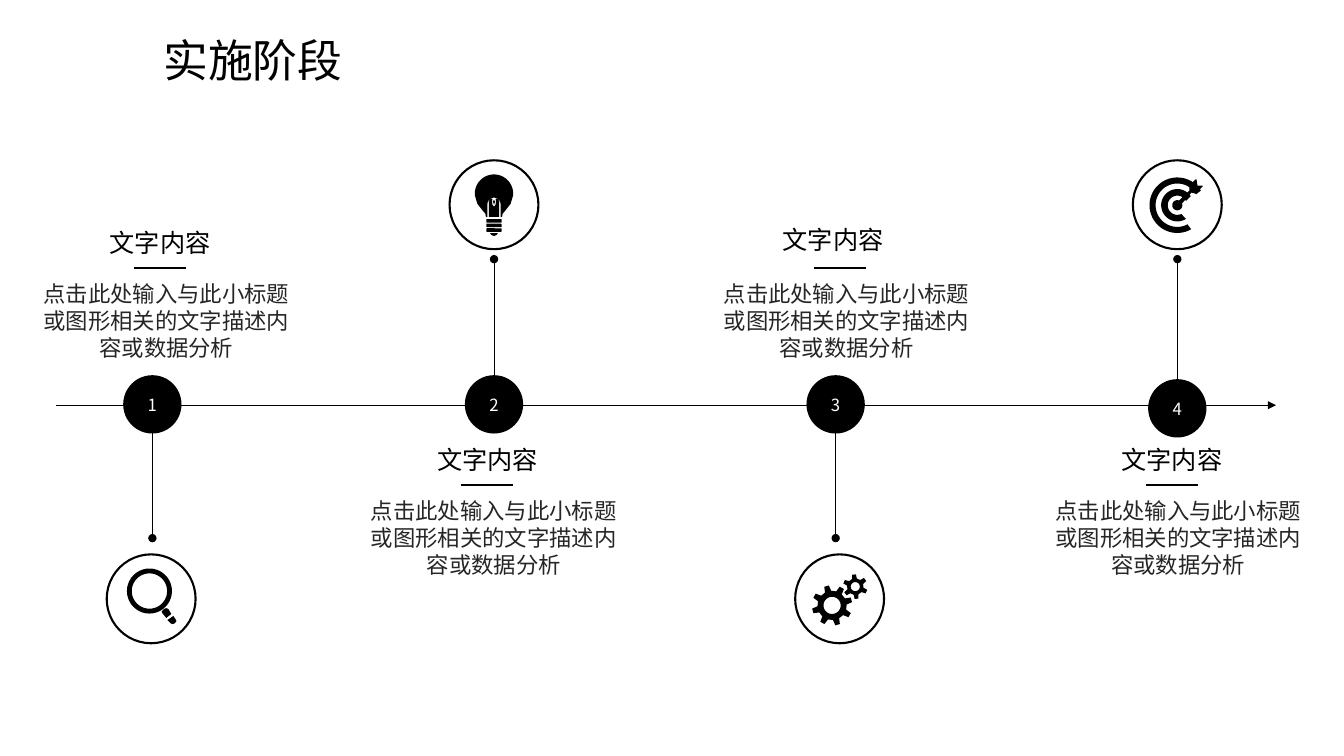
from dataclasses import dataclass
from math import cos, radians, sin
from typing import Callable

from lxml import etree
from pptx import Presentation
from pptx.dml.color import RGBColor
from pptx.enum.shapes import MSO_CONNECTOR, MSO_SHAPE
from pptx.enum.text import MSO_ANCHOR, MSO_AUTO_SIZE, PP_ALIGN
from pptx.oxml.ns import qn
from pptx.util import Cm, Pt

STRAIGHT = MSO_CONNECTOR.STRAIGHT
OVAL = MSO_SHAPE.OVAL
BAR = MSO_SHAPE.ROUNDED_RECTANGLE
MIDDLE = MSO_ANCHOR.MIDDLE
GROW = MSO_AUTO_SIZE.SHAPE_TO_FIT_TEXT
LEFT, CENTER = PP_ALIGN.LEFT, PP_ALIGN.CENTER

Point = tuple[float, float]
Contour = list[Point]


@dataclass(frozen=True)
class Theme:
    font: str = "Noto Sans CJK SC"
    ink: RGBColor = RGBColor(0, 0, 0)
    body: RGBColor = RGBColor(0x26, 0x26, 0x26)
    paper: RGBColor = RGBColor(255, 255, 255)
    title_size: int = 32
    heading_size: int = 18
    body_size: int = 16
    number_size: int = 12
    line_ratio: float = 1.2
    thin: float = 0.5
    thick: float = 1.5


THEME = Theme()
HEADING = "文字内容"
DESCRIPTION = "点击此处输入与此小标题或图形相关的文字描述内容或数据分析"

# Geometry in centimetres; icons use a grid of 88 units per badge
AXIS_Y, FIRST_NODE_X, NODE_STEP = 10.21, 3.84, 8.61
NODE_SIZE, BADGE_SIZE = 1.47, 2.24
UNIT = BADGE_SIZE / 88


# Text and basic shapes
def write(frame, text: str, size: int, color: RGBColor, align=CENTER) -> None:
    para = frame.paragraphs[0]
    para.text = text
    para.alignment = align
    para.line_spacing = Pt(size * THEME.line_ratio)
    para.font.size = Pt(size)
    para.font.color.rgb = color
    para.font.name = THEME.font
    defaults = para._p.get_or_add_pPr().find(qn("a:defRPr"))
    etree.SubElement(defaults, qn("a:ea"), typeface=THEME.font)


def add_text(page, left: float, top: float, width: float, height: float,
             text: str, size: int, color: RGBColor) -> None:
    box = page.shapes.add_textbox(Cm(left), Cm(top), Cm(width), Cm(height))
    box.text_frame.word_wrap = True
    box.text_frame.auto_size = GROW
    write(box.text_frame, text, size, color)


def add_line(page, start: Point, end: Point, width: float,
             head: str = "none", tail: str = "none") -> None:
    line = page.shapes.add_connector(STRAIGHT, *(Cm(value) for value in start + end))
    line.line.color.rgb = THEME.ink
    line.line.width = Pt(width)
    outline = line.line._get_or_add_ln()
    etree.SubElement(outline, qn("a:headEnd"), type=head)
    etree.SubElement(outline, qn("a:tailEnd"), type=tail)
    etree.SubElement(line._element.spPr, qn("a:effectLst"))


def paint(shape) -> None:
    shape.shadow.inherit = False
    shape.fill.solid()
    shape.fill.fore_color.rgb = THEME.ink
    shape.line.fill.background()


def add_centered(page, kind, center: Point, width: float, height: float):
    x, y = center
    shape = page.shapes.add_shape(kind, Cm(x - width / 2), Cm(y - height / 2),
                                  Cm(width), Cm(height))
    paint(shape)
    return shape


# Icon outlines, measured from the badge centre
def arc(center: Point, radius: float, start: float, end: float) -> Contour:
    steps = 40
    angles = [radians(start + (end - start) * i / steps) for i in range(steps + 1)]
    return [(center[0] + radius * cos(a), center[1] + radius * sin(a)) for a in angles]


def ring(center: Point, outer: float, inner: float) -> list[Contour]:
    return [arc(center, outer, 0, 360), arc(center, inner, 360, 0)]


def gear(center: Point, teeth: int, turn: float, tip: float, root: float,
         hole: float) -> list[Contour]:
    pitch = 360 / teeth
    profile = [(-0.28, root), (-0.15, tip), (0.15, tip), (0.28, root)]
    rim = [arc(center, radius, turn + pitch * (i + shift), 0)[0]
           for i in range(teeth) for shift, radius in profile]
    return [rim, arc(center, hole, 360, 0)]


def add_outline(page, center: Point, contours: list[Contour]) -> None:
    paths = [[(Cm(center[0] + x * UNIT), Cm(center[1] + y * UNIT)) for x, y in contour]
             for contour in contours]
    builder = page.shapes.build_freeform(*paths[0][0])
    builder.add_line_segments(paths[0][1:], close=True)
    for path in paths[1:]:
        builder.move_to(*path[0])
        builder.add_line_segments(path[1:], close=True)
    paint(builder.convert_to_shape())


def draw_magnifier(page, center: Point) -> None:
    grip = [(12, 11), (13, 10), (15, 9.2), (17, 10), (20, 15), (15, 19), (11, 14), (10.5, 12.5)]
    grip_end = [(22, 17), (24, 20), (25, 22), (24, 23.5), (23, 24.5), (21, 25), (19, 24), (16, 21)]
    for contours in ([grip], ring((-1.7, -7.7), 22.3, 17.5), [grip_end]):
        add_outline(page, center, contours)


def draw_bulb(page, center: Point) -> None:
    glass = (arc((0, -11), 19, 175, 365)
             + [(16.5, -1), (11, 6), (8.5, 9), (8, 12), (6.5, 12)]
             + arc((0, -0.5), 6.5, 0, -180) + [(-6.5, 12), (-8, 12), (-8.5, 9), (-11, 6), (-16.5, -1)])
    filament = [(-5.2, 12), (-5.2, -3), (-4, -5.5), (-1.6, -6), (-2, -3), (-1.5, 0), (0, 2),
                (1.5, 0), (2, -3), (1.6, -6), (4, -5.5), (5.2, -3), (5.2, 12)]
    drop = [(0, -5), (1, -3), (0, 0), (-1, -3)]
    add_outline(page, center, [glass, filament, drop])
    for i in range(3):
        middle = (center[0], center[1] + (16 + 4.5 * i) * UNIT)
        add_centered(page, BAR, middle, 15 * UNIT, 3.5 * UNIT)
    add_outline(page, center, [[(-4, 28), (-2.5, 30), (0, 31), (2.5, 30), (4, 28)]])


def draw_gears(page, center: Point) -> None:
    add_outline(page, center, gear((15.5, -12), 6, 24, 12.2, 8.2, 4.5))
    add_outline(page, center, gear((-7.5, 6.5), 8, -16, 20, 14.5, 8.5))


def draw_target(page, center: Point) -> None:
    hub = (0, 0.5)
    dart = ([(12, -19), (18, -25), (19, -25), (20, -19), (25, -19), (25, -18), (19, -12),
             (18, -11), (14, -12)] + arc(hub, 5, -20, 290) + [(12, -14), (12, -17)])
    outer_band = arc(hub, 27.5, -32, -300) + arc(hub, 21.5, -298, -30)
    inner_band = arc(hub, 16, -34, -302) + arc(hub, 9.5, -295, -27)
    for contour in (outer_band, dart, inner_band):
        add_outline(page, center, [contour])


# Steps of the timeline
@dataclass(frozen=True)
class Step:
    badge_x: float
    text_left: float
    badge_above: bool
    draw_icon: Callable
    node_y: float = 10.19
    heading_shift: Point = (0, 0)


STEPS = [
    Step(3.81, 0.74, False, draw_magnifier),
    Step(12.45, 8.99, True, draw_bulb),
    Step(21.16, 17.88, False, draw_gears, heading_shift=(-0.18, -0.08)),
    Step(29.67, 26.24, True, draw_target, node_y=10.29),
]


def add_stem(page, x: float, step: Step) -> None:
    top, bottom = (6.53, 9.91) if step.badge_above else (10.19, 13.56)
    add_line(page, (x, top), (x, bottom), THEME.thin, "oval", "oval")


def add_node(page, x: float, number: int, step: Step) -> None:
    node = add_centered(page, OVAL, (x, step.node_y), NODE_SIZE, NODE_SIZE)
    frame = node.text_frame
    frame.margin_left = frame.margin_right = frame.margin_top = frame.margin_bottom = 0
    frame.vertical_anchor = MIDDLE
    write(frame, str(number), THEME.number_size, THEME.paper)


def add_caption(page, step: Step) -> None:
    left, top = step.text_left, 12.4 if step.badge_above else 6.93
    shift_x, shift_y = step.heading_shift
    add_text(page, left, top, 6.91, 2.31, DESCRIPTION, THEME.body_size, THEME.body)
    add_text(page, left + 0.63 + shift_x, top - 1.32 + shift_y, 5.33, 1.02,
             HEADING, THEME.heading_size, THEME.ink)
    add_line(page, (left + 2.64, top - 0.18), (left + 3.94, top - 0.18), THEME.thick)


def add_badge(page, step: Step) -> None:
    center = (step.badge_x, 5.16 if step.badge_above else 15.09)
    badge = add_centered(page, OVAL, center, BADGE_SIZE, BADGE_SIZE)
    badge.fill.background()
    badge.line.color.rgb = THEME.ink
    badge.line.width = Pt(THEME.thick)
    step.draw_icon(page, center)


def main() -> None:
    deck = Presentation()
    deck.slide_width, deck.slide_height = Cm(33.87), Cm(19.05)
    page = deck.slides.add_slide(deck.slide_layouts[5])

    # Title
    title = page.shapes.title
    title.left, title.top, title.width, title.height = Cm(3.86), Cm(0.69), Cm(19.76), Cm(1.63)
    title.text_frame.vertical_anchor = MIDDLE
    title.text_frame.auto_size = GROW
    write(title.text_frame, "实施阶段", THEME.title_size, THEME.ink, LEFT)

    # Timeline, back to front
    node_xs = [FIRST_NODE_X + NODE_STEP * i for i in range(len(STEPS))]
    for x, step in zip(node_xs, STEPS):
        add_stem(page, x, step)
    add_line(page, (1.42, AXIS_Y), (32.16, AXIS_Y), THEME.thin, tail="triangle")
    for number, (x, step) in enumerate(zip(node_xs, STEPS), 1):
        add_node(page, x, number, step)
    for step in STEPS:
        add_caption(page, step)
        add_badge(page, step)
    deck.save("out.pptx")


if __name__ == "__main__":
    main()
